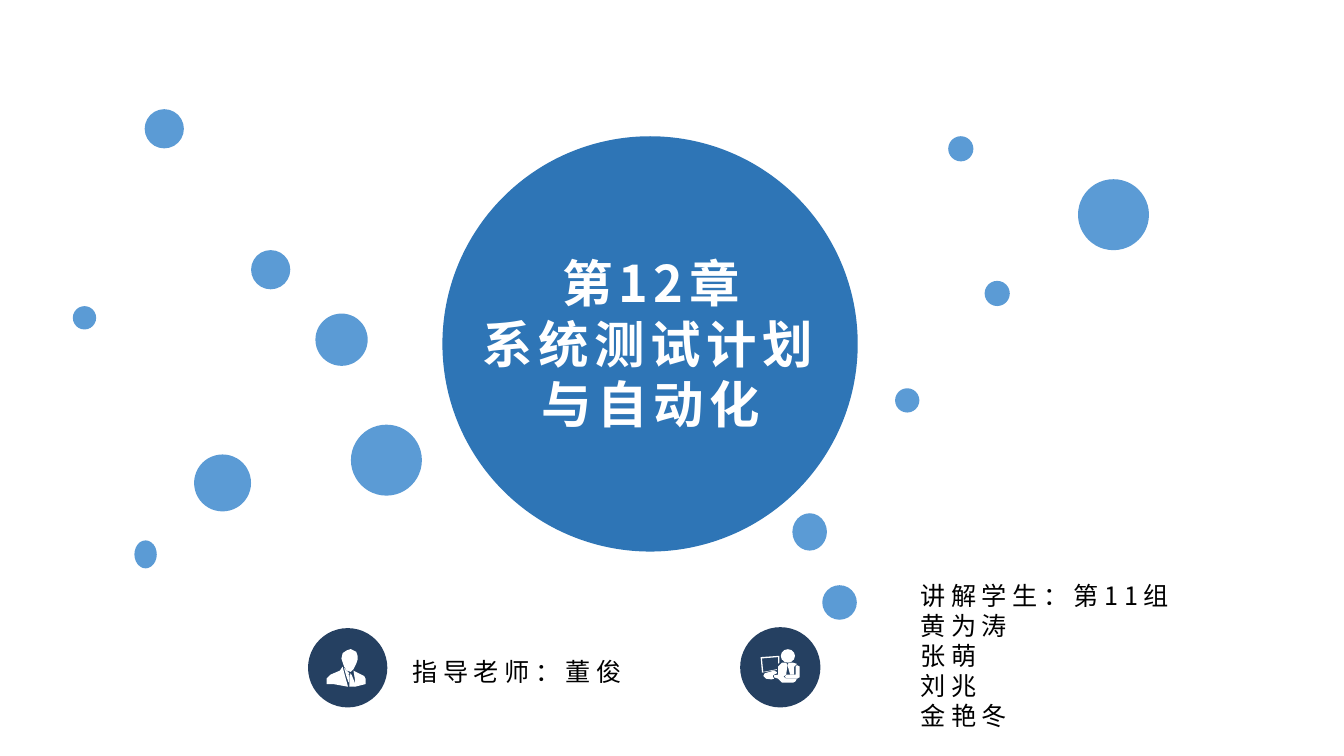
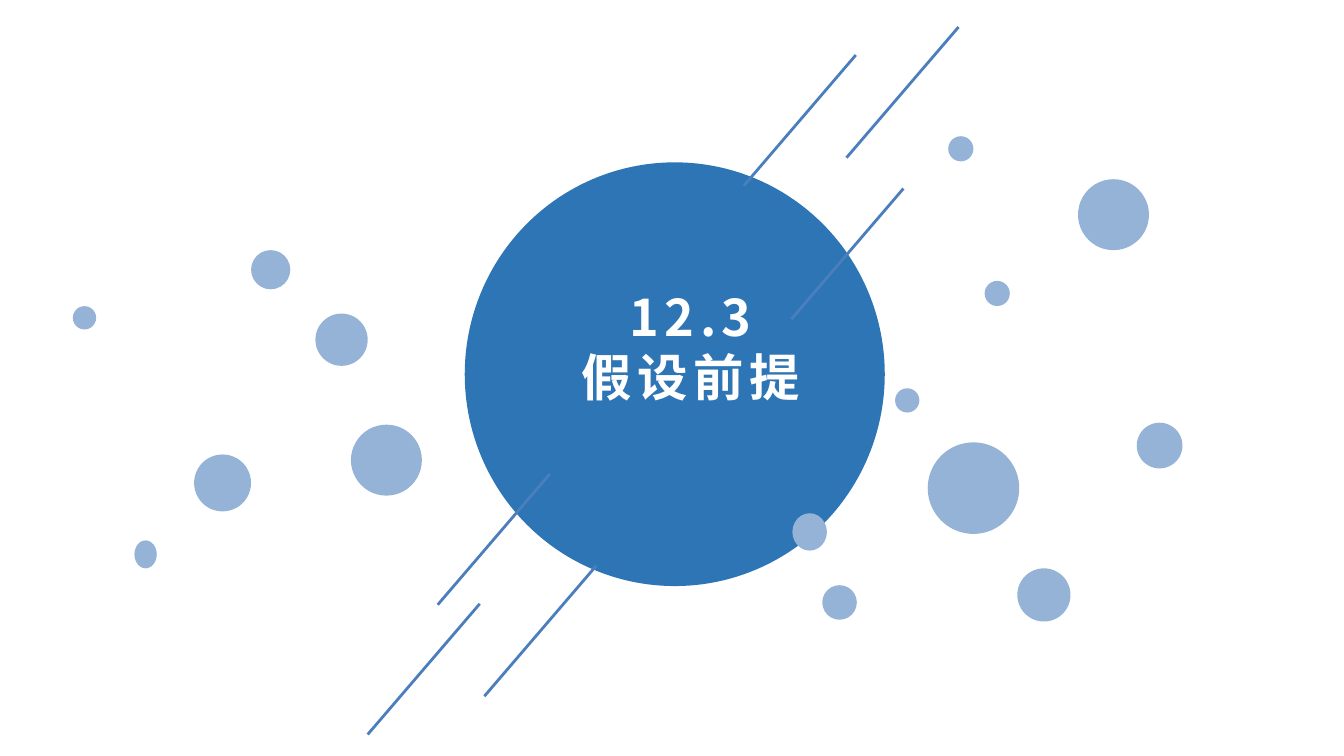
import pptx
import pptx.util
import pptx.dml.color
import pptx.enum.shapes
import pptx.enum.text
import pptx.oxml.ns
import lxml.etree

Pt = pptx.util.Pt
FONT = "Noto Sans CJK SC"
HUES = {
    "disc": "2E75B6",
    "sky": "5B9BD5",
    "pale": "95B3D7",
    "line": "4B7EBC",
    "navy": "254061",
    "white": "FFFFFF",
    "black": "000000",
}
TITLE = {"size": Pt(27), "bold": True, "name": FONT}
NOTE = {"size": Pt(13.5), "bold": False, "name": FONT}

# Left, top, width, height in points
DOTS = [
    (72, 289.5, 12, 15), (104, 243.5, 30.5, 30.5), (188, 227.5, 38, 38),
    (39, 164, 12.5, 12.5), (169, 168, 28, 28), (134.5, 134, 21, 21),
    (479.5, 208, 13, 13), (577.5, 96, 38, 38), (440.5, 313.5, 18.5, 18.5),
    (424.5, 275, 18.5, 20), (527.5, 150.5, 13.5, 13.5), (508, 73, 13.5, 13.5),
]
COVER = [(77.5, 58.5, 21, 21)]
PART = [(497, 237, 49, 49), (609, 226.5, 24.5, 24.5), (545, 304.5, 28.5, 28.5)]
RAYS = [(458.5, 29.5), (513.5, 14.5), (257, 323.5),
        (484, 101), (319.5, 303), (294.5, 254)]
RUN, DROP = -60, 70

# Icon outlines in hundredths of an inch
TUTOR = [
    [(254, 490), (255, 486), (258, 484), (261, 483), (265, 485), (266, 488),
     (266, 491), (265, 494), (263, 498), (261, 500), (258, 499), (256, 496)],
    [(255, 496), (256, 500), (259, 511), (248, 509), (243, 509), (243, 505),
     (246, 502), (253, 499)],
    [(263, 499), (271, 503), (272, 505), (272, 509), (264, 511), (264, 505)],
    [(256, 497), (260, 501), (259, 502), (260, 502), (259.5, 508), (258, 504)],
    [(261, 501), (262, 503), (264, 508), (264, 511), (260, 511), (260, 504)],
]
PUPIL = [
    [(566, 489), (580, 488), (580, 493), (579, 494), (579, 489), (567, 490),
     (568, 500), (578, 498), (578, 498.5), (567, 500.5)],
    [(576, 499), (578, 500), (578, 501), (576, 502), (575, 503), (576, 505),
     (574, 505.5), (570, 505), (568, 503), (569, 501)],
    [(582, 493), (585, 493), (586, 495), (585, 502), (583, 503.5), (585, 505),
     (593, 505), (592, 507), (590, 508), (582, 508), (579, 505), (576, 504),
     (576, 502.5), (579, 502), (579, 496)],
    [(587, 493), (590, 493), (593, 494), (591, 496), (591, 502), (588, 502),
     (586, 495)],
    [(593, 495), (595, 496), (595, 504), (593, 505), (585, 505), (584, 503.5),
     (585, 502), (592, 502), (592, 496)],
]


def tint(hue):
    return pptx.dml.color.RGBColor.from_string(HUES[hue])


def paint(shape, hue):
    shape.shadow.inherit = False
    shape.fill.solid()
    shape.fill.fore_color.rgb = tint(hue)
    shape.line.fill.background()


def place(shape, box):
    for key, val in zip(("left", "top", "width", "height"), box):
        setattr(shape, key, Pt(val))


def disc(shapes, box, hue):
    kind = pptx.enum.shapes.MSO_SHAPE.OVAL
    shape = shapes.add_shape(kind, *map(Pt, box))
    paint(shape, hue)
    return shape


def outline(shapes, spots):
    spots = [(Pt(x * 0.72), Pt(y * 0.72)) for x, y in spots]
    pen = shapes.build_freeform(*spots[0], scale=1.0)
    pen.add_line_segments(spots[1:], close=True)
    paint(pen.convert_to_shape(), "white")


def write(shape, lines, look, hue, align, pitch, inset):
    """Fill a text frame with one paragraph for each line."""
    frame = shape.text_frame
    frame.word_wrap = True
    frame.auto_size = pptx.enum.text.MSO_AUTO_SIZE.NONE
    frame.vertical_anchor = pptx.enum.text.MSO_ANCHOR.TOP
    for key, val in {"left": 7.2, "right": 7.2, "top": inset, "bottom": 3.6}.items():
        setattr(frame, "margin_" + key, Pt(val))
    for i, line in enumerate(lines):
        para = frame.add_paragraph() if i else frame.paragraphs[0]
        para.alignment = align
        para.line_spacing = Pt(pitch)
        para.space_before = para.space_after = Pt(0)
        run = para.add_run()
        run.text = line
        for key, val in look.items():
            setattr(run.font, key, val)
        run.font.color.rgb = tint(hue)
        props = run.font._element
        props.set("spc", "300")
        east = lxml.etree.SubElement(props, pptx.oxml.ns.qn("a:ea"))
        east.set("typeface", FONT)


def head(slide, ball, box, lines):
    """Set the title on top of the large disc."""
    title = slide.shapes.title
    place(title, box)
    write(title, lines, TITLE, "white", pptx.enum.text.PP_ALIGN.CENTER, 32.2, 6)
    back = disc(slide.shapes, ball, "disc")
    title._element.addprevious(back._element)


def note(slide, box, lines):
    shape = slide.shapes.add_textbox(*map(Pt, box))
    write(shape, lines, NOTE, "black", pptx.enum.text.PP_ALIGN.LEFT, 16.1, 4.6)


def icon(slide, ball, parts):
    group = slide.shapes.add_group_shape()
    disc(group.shapes, ball, "navy")
    for spots in parts:
        outline(group.shapes, spots)
    return group


def ray(slide, x, y):
    kind = pptx.enum.shapes.MSO_CONNECTOR.STRAIGHT
    ends = map(Pt, (x, y, x + RUN, y + DROP))
    line = slide.shapes.add_connector(kind, *ends)
    line.line.color.rgb = tint("line")
    line.line.width = Pt(1.5)
    props = line._element.spPr
    lxml.etree.SubElement(props, pptx.oxml.ns.qn("a:effectLst"))


def page(deck, ball, box, lines, dots, hue):
    slide = deck.slides.add_slide(deck.slide_layouts[5])
    head(slide, ball, box, lines)
    for dot in DOTS + dots:
        disc(slide.shapes, dot, hue)
    return slide


def main():
    deck = pptx.Presentation()
    deck.slide_width, deck.slide_height = Pt(720), Pt(405)

    cover = page(deck, (237, 73, 222.5, 222.5), (245, 129.5, 207.5, 105),
                 ["第12章", "系统测试计划与自动化"], COVER, "sky")
    icon(cover, (165, 336.5, 42.5, 42.5), TUTOR)
    note(cover, (214, 347, 160, 24), ["指导老师：董俊"])
    pupil = icon(cover, (396.5, 336, 43, 43), PUPIL)
    disc(pupil.shapes, (418.3, 347.8, 7.6, 7.2), "white")
    note(cover, (486, 306.5, 234, 89),
         ["讲解学生：第11组", "黄为涛", "张萌", "刘兆", "金艳冬"])

    part = page(deck, (249, 87, 225, 227), (256.5, 147.5, 227, 73),
                ["12.3", "假设前提"], PART, "pale")
    for spot in RAYS:
        ray(part, *spot)

    deck.save("out.pptx")


if __name__ == "__main__":
    main()
